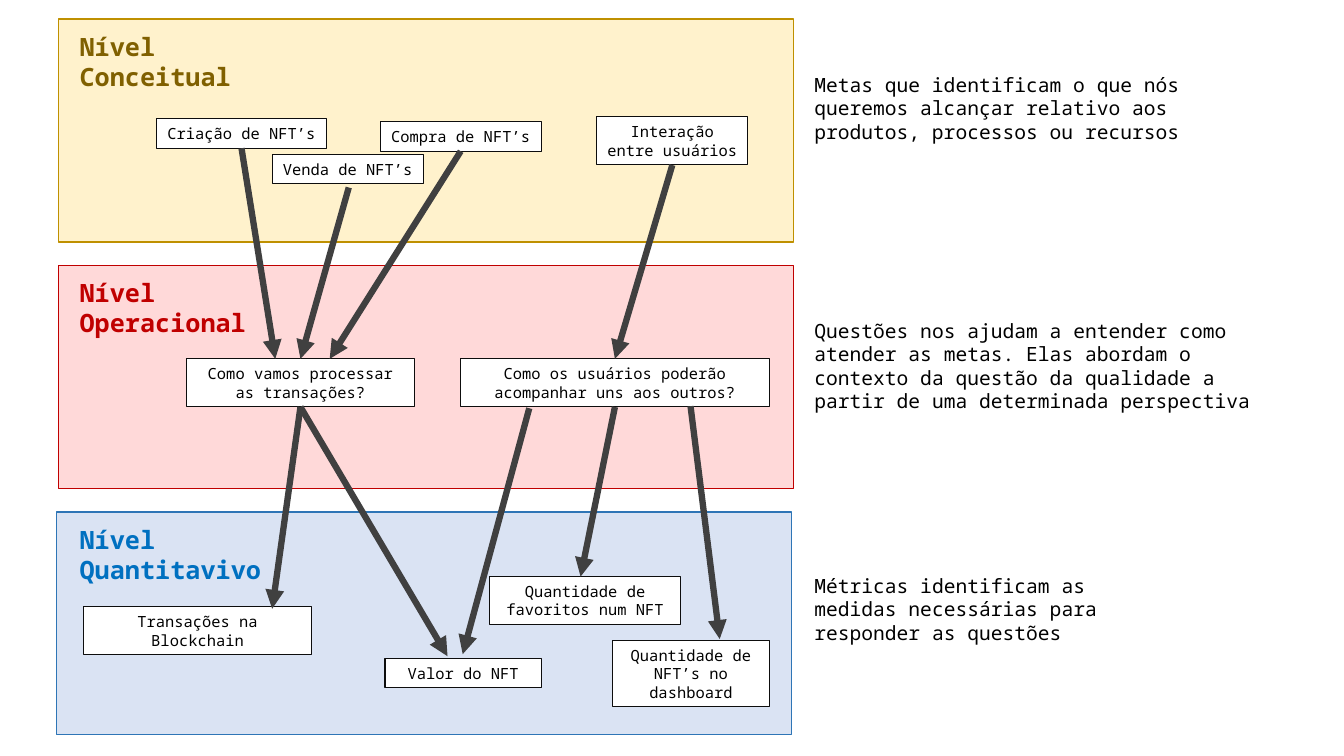
"""Build the slide of goals, questions and metrics for an NFT platform."""
import pptx
import pptx.dml.color
import pptx.enum.shapes
import pptx.enum.text
import pptx.oxml
import pptx.oxml.ns
import pptx.util

RGBColor = pptx.dml.color.RGBColor
PP_ALIGN = pptx.enum.text.PP_ALIGN
BLACK = RGBColor(0x00, 0x00, 0x00)
WHITE = RGBColor(0xFF, 0xFF, 0xFF)
BOX_LINE = RGBColor(0x0D, 0x0D, 0x0D)
ARROW = RGBColor(0x40, 0x40, 0x40)
CREAM = RGBColor(0xFF, 0xF2, 0xCC)
GOLD = RGBColor(0xBF, 0x90, 0x00)
BROWN = RGBColor(0x80, 0x60, 0x00)
PINK = RGBColor(0xFF, 0xD9, 0xD9)
RED = RGBColor(0xC0, 0x00, 0x00)
PALE_BLUE = RGBColor(0xDA, 0xE3, 0xF3)
STEEL = RGBColor(0x2E, 0x75, 0xB6)
BLUE = RGBColor(0x00, 0x70, 0xC0)

FONT = "Noto Sans Mono"
WIDTH, HEIGHT = pptx.util.Inches(13.33), pptx.util.Inches(7.5)

# Every length is a percentage of the slide's width or height.
BAND_TOP, BAND_PITCH, BAND_WIDTH, BAND_HEIGHT = 2.53, 32.6, 54.68, 29.47
LABEL_LEFT, LABEL_DROP, LABEL_HEIGHT = 5.18, 0.93, 9.47
LABEL_PAD, LABEL_CHAR = 1.5, 1.13
NOTE_LEFT, NOTE_PAD, NOTE_LINE = 59.85, 1.4, 3.13
BOX_PAD, BOX_LINE_HEIGHT = 1.4, 2.48
QUESTION_TOP = 47.47
TOP, BOTTOM = 0, 2

BANDS = [
    ("Nível\nConceitual", 4.35, CREAM, GOLD, BROWN),
    ("Nível\nOperacional", 4.35, PINK, RED, RED),
    ("Nível\nQuantitavivo", 4.2, PALE_BLUE, STEEL, BLUE),
]
NOTES = [
    ("Metas que identificam o que nós queremos alcançar relativo aos "
     "produtos, processos ou recursos", 8.93, 33.15, 3),
    ("Questões nos ajudam a entender como\n"
     "atender as metas. Elas abordam o contexto da questão da qualidade a "
     "partir de uma determinada perspectiva", 41.47, 36.68, 4),
    ("Métricas identificam as\nmedidas necessárias para\n"
     "responder as questões", 75.2, 36.68, 3),
]
BOXES = {
    "criação": ("Criação de NFT’s", 11.63, 15.73, 12.68, 1),
    "compra": ("Compra de NFT’s", 28.28, 16.13, 12, 1),
    "venda": ("Venda de NFT’s", 20.25, 20.4, 11.25, 1),
    "interação": ("Interação entre usuários", 44.4, 15.47, 11.25, 2),
    "processar": ("Como vamos processar as transações?",
                  13.88, QUESTION_TOP, 16.95, 2),
    "acompanhar": ("Como os usuários poderão acompanhar uns aos outros?",
                   34.28, QUESTION_TOP, 22.95, 2),
    "transações": ("Transações na Blockchain", 6.23, 80.27, 16.95, 2),
    "favoritos": ("Quantidade de favoritos num NFT", 36.45, 76.27, 14.18, 2),
    "valor": ("Valor do NFT", 28.65, 87.07, 11.63, 1),
    "dashboard": ("Quantidade de NFT’s no dashboard", 45.6, 84.67, 11.63, 3),
}
ARROWS = [
    ((25.95, 24.8), "processar"),
    ("criação", (20.48, QUESTION_TOP)),
    ("compra", (24.53, QUESTION_TOP)),
    ("interação", "acompanhar"),
    ("acompanhar", (43.2, 76.27)),
    ((39.38, 54), (34.43, 86.53)),
    ((51.38, 53.73), (53.55, 84.53)),
    ("processar", (33.3, 86.8)),
    ("processar", (20.25, 80.53)),
]


def x(share):
    return round(WIDTH * share / 100)


def y(share):
    return round(HEIGHT * share / 100)


def add_rect(s, left, top, width, height, fill, line, weight):
    sp = s.shapes.add_shape(pptx.enum.shapes.MSO_SHAPE.RECTANGLE,
                            x(left), y(top), x(width), y(height))
    sp.shadow.inherit = False
    sp.fill.solid()
    sp.fill.fore_color.rgb = fill
    sp.line.color.rgb = line
    sp.line.width = pptx.util.Pt(weight)
    return sp


def write(sp, text, size, color, bold=False, wrap=True, align=PP_ALIGN.LEFT):
    tf = sp.text_frame
    tf.text = text
    tf.word_wrap = wrap
    tf.auto_size = pptx.enum.text.MSO_AUTO_SIZE.SHAPE_TO_FIT_TEXT
    style = {"name": FONT, "size": pptx.util.Pt(size), "bold": bold}
    for p in tf.paragraphs:
        p.alignment = align
        for r in p.runs:
            for key, value in style.items():
                setattr(r.font, key, value)
            r.font.color.rgb = color


def add_arrow(s, boxes, start, end):
    points = [(0, 0) if isinstance(e, str) else e for e in (start, end)]
    (x1, y1), (x2, y2) = points
    c = s.shapes.add_connector(pptx.enum.shapes.MSO_CONNECTOR.STRAIGHT,
                               x(x1), y(y1), x(x2), y(y2))
    if isinstance(start, str):
        c.begin_connect(boxes[start], BOTTOM)
    if isinstance(end, str):
        c.end_connect(boxes[end], TOP)
    c.line.color.rgb = ARROW
    c.line.width = pptx.util.Pt(4.5)
    ns = pptx.oxml.ns.nsdecls("a")
    c.line._get_or_add_ln().append(
        pptx.oxml.parse_xml(f'<a:tailEnd {ns} type="triangle"/>'))
    c._element.spPr.append(pptx.oxml.parse_xml(f"<a:effectLst {ns}/>"))


def main():
    prs = pptx.Presentation()
    prs.slide_width, prs.slide_height = WIDTH, HEIGHT
    s = prs.slides.add_slide(prs.slide_layouts[6])

    for i, (label, left, fill, line, color) in enumerate(BANDS):
        top = BAND_TOP + i * BAND_PITCH
        add_rect(s, left, top, BAND_WIDTH, BAND_HEIGHT, fill, line, 1)
        longest = max(len(part) for part in label.split("\n"))
        tb = s.shapes.add_textbox(x(LABEL_LEFT), y(top + LABEL_DROP),
                                  x(LABEL_PAD + LABEL_CHAR * longest),
                                  y(LABEL_HEIGHT))
        write(tb, label, 18, color, bold=True, wrap=False)

    for text, top, width, lines in NOTES:
        tb = s.shapes.add_textbox(x(NOTE_LEFT), y(top), x(width),
                                  y(NOTE_PAD + NOTE_LINE * lines))
        write(tb, text, 14, BLACK)

    boxes = {}
    for name, (text, left, top, width, lines) in BOXES.items():
        height = BOX_PAD + BOX_LINE_HEIGHT * lines
        boxes[name] = add_rect(s, left, top, width, height,
                               WHITE, BOX_LINE, 0.75)
        write(boxes[name], text, 11, BLACK, wrap=lines > 1,
              align=PP_ALIGN.CENTER)

    for start, end in ARROWS:
        add_arrow(s, boxes, start, end)
    prs.save("out.pptx")


if __name__ == "__main__":
    main()
